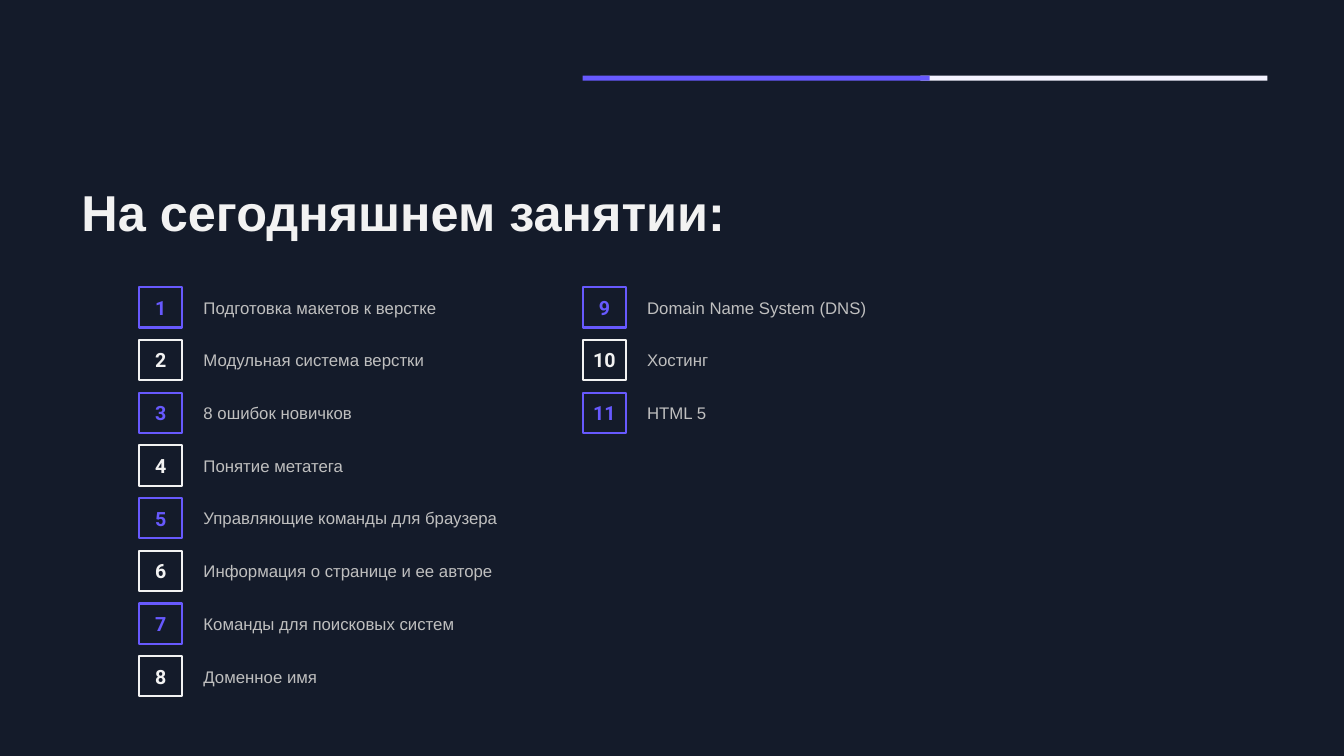
from pptx import Presentation
from pptx.dml.color import RGBColor
from pptx.enum.shapes import MSO_SHAPE
from pptx.enum.text import MSO_ANCHOR, PP_ALIGN
from pptx.util import Inches, Pt

COLORS = {
    "background": "141B2A",
    "violet": "6759FE",
    "pale": "F4F3FF",
    "white": "F2F2F2",
    "gray": "BFBFBF",
}
TITLE = {"size": Pt(36), "name": "Arial", "bold": True}
NUMBER = {"size": Pt(14), "name": "Roboto", "bold": True}
TOPIC = {"size": Pt(12), "name": "Arial", "bold": False}


def color(name):
    return RGBColor.from_string(COLORS[name])


def write(box, text, font, color_name, inset=0.05, wrap=True, align=PP_ALIGN.LEFT):
    frame = box.text_frame
    layout = {
        "word_wrap": wrap,
        "vertical_anchor": MSO_ANCHOR.MIDDLE,
        "margin_left": Inches(0.1),
        "margin_right": Inches(0.1),
        "margin_top": Inches(inset),
        "margin_bottom": Inches(inset),
    }
    for key, value in layout.items():
        setattr(frame, key, value)
    para = frame.paragraphs[0]
    para.alignment = align
    span = para.add_run()
    span.text = text
    for key, value in font.items():
        setattr(span.font, key, value)
    span.font.color.rgb = color(color_name)
    return para


deck = Presentation()
deck.slide_width = Inches(13.33)
deck.slide_height = Inches(7.5)
page = deck.slides.add_slide(deck.slide_layouts[6])
page.background.fill.solid()
page.background.fill.fore_color.rgb = color("background")

# Title
title = page.shapes.add_textbox(Inches(0.71), Inches(1.82), Inches(8.5), Inches(0.66))
para = write(title, "На сегодняшнем занятии:", TITLE, "white")
para.line_spacing = 0.9
title.text_frame.vertical_anchor = MSO_ANCHOR.TOP

# Two-colour bar at the top, violet half in front
for left, color_name in ((9.13, "pale"), (5.78, "violet")):
    bar = page.shapes.add_shape(
        MSO_SHAPE.RECTANGLE, Inches(left), Inches(0.75), Inches(3.44), Inches(0.05))
    bar.shadow.inherit = False
    bar.fill.solid()
    bar.fill.fore_color.rgb = color(color_name)
    bar.line.fill.background()

# Numbered topics, eight to a column, colours alternating
topics = [
    "Подготовка макетов к верстке",
    "Модульная система верстки",
    "8 ошибок новичков",
    "Понятие метатега",
    "Управляющие команды для браузера",
    "Информация о странице и ее авторе",
    "Команды для поисковых систем",
    "Доменное имя",
    "Domain Name System (DNS)",
    "Хостинг",
    "HTML 5",
]
rows = 8
first_top, last_top = 2.85, 6.51
row_step = (last_top - first_top) / (rows - 1)
column_step = 4.4

for index, topic in enumerate(topics):
    column, row = divmod(index, rows)
    left = 1.38 + column * column_step
    top = first_top + row * row_step
    accent = "white" if index % 2 else "violet"

    number_box = page.shapes.add_shape(
        MSO_SHAPE.RECTANGLE, Inches(left), Inches(top), Inches(0.43), Inches(0.4))
    number_box.shadow.inherit = False
    number_box.fill.background()
    number_box.line.color.rgb = color(accent)
    number_box.line.width = Pt(1.5)
    write(number_box, str(index + 1), NUMBER, accent, 0.1, False, PP_ALIGN.CENTER)

    topic_box = page.shapes.add_textbox(
        Inches(left + 0.54), Inches(top + 0.03), Inches(3.57), Inches(0.34))
    write(topic_box, topic, TOPIC, "gray")

deck.save("out.pptx")
